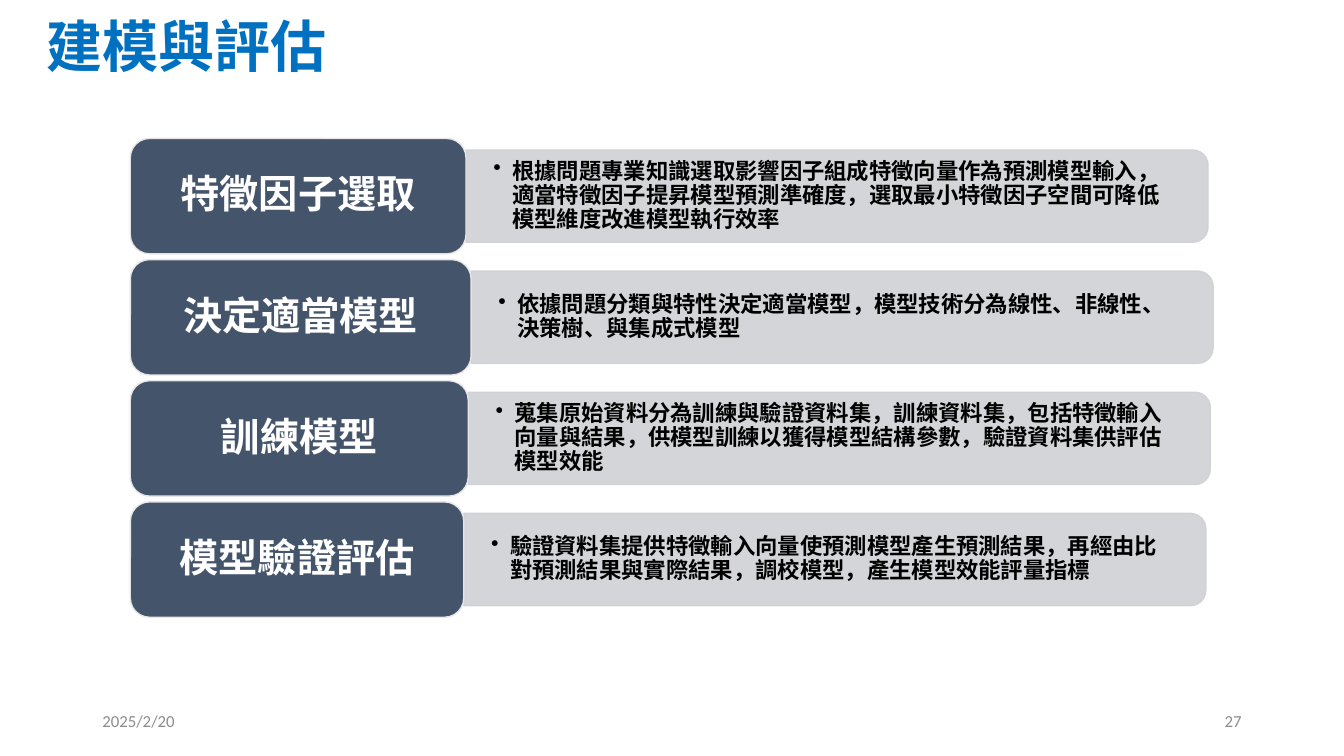
import dataclasses

import pptx
import pptx.dml.color
import pptx.enum.shapes
import pptx.enum.text
import pptx.oxml
import pptx.oxml.ns
import pptx.util

Pt = pptx.util.Pt
ALIGN = pptx.enum.text.PP_ALIGN
SHAPE = pptx.enum.shapes.MSO_SHAPE


@dataclasses.dataclass(frozen=True)
class Theme:
    font: str = "Calibri"
    title: str = "0070C0"
    label: str = "44546A"
    label_edge: str = "E7E6E6"
    label_text: str = "FFFFFF"
    bar: str = "CFD1D4"
    bar_text: str = "000000"
    footer: str = "8C8C8C"
    title_size: int = 40
    label_size: int = 28
    bar_size: int = 16
    footer_size: int = 12


THEME = Theme()

# Each step: label, width of its label, description
STEPS = [
    ("特徵因子選取", 239.8,
     "根據問題專業知識選取影響因子組成特徵向量作為預測模型輸入，適當特徵因子提昇模型預測準確度，"
     "選取最小特徵因子空間可降低模型維度改進模型執行效率"),
    ("決定適當模型", 243.4,
     "依據問題分類與特性決定適當模型，模型技術分為線性、非線性、決策樹、與集成式模型"),
    ("訓練模型", 241.4,
     "蒐集原始資料分為訓練與驗證資料集，訓練資料集，包括特徵輸入向量與結果，"
     "供模型訓練以獲得模型結構參數，驗證資料集供評估模型效能"),
    ("模型驗證評估", 238.2,
     "驗證資料集提供特徵輸入向量使預測模型產生預測結果，再經由比對預測結果與實際結果，"
     "調校模型，產生模型效能評量指標"),
]


def rgb(color):
    return pptx.dml.color.RGBColor.from_string(color)


def write(holder, text, size, color, bold=True, align=ALIGN.LEFT,
          spacing=0.9, insets=(7.2, 3.6), bullet_indent=None):
    """Put one vertically centred paragraph into a shape or text box."""
    frame = holder.text_frame
    frame.word_wrap = True
    frame.vertical_anchor = pptx.enum.text.MSO_ANCHOR.MIDDLE
    frame.margin_left = frame.margin_right = Pt(insets[0])
    frame.margin_top = frame.margin_bottom = Pt(insets[1])
    paragraph = frame.paragraphs[0]
    paragraph.text = text
    paragraph.alignment = align
    paragraph.line_spacing = spacing
    if bullet_indent:
        properties = paragraph._p.get_or_add_pPr()
        properties.set("marL", str(Pt(bullet_indent)))
        properties.set("indent", str(-Pt(bullet_indent)))
        bullet = pptx.oxml.parse_xml(
            f'<a:buChar {pptx.oxml.ns.nsdecls("a")} char="•"/>')
        properties.append(bullet)
    font = paragraph.font
    font.name, font.size, font.bold = THEME.font, Pt(size), bold
    font.color.rgb = rgb(color)


def add_text(slide, box, *args, **options):
    write(slide.shapes.add_textbox(*map(Pt, box)), *args, **options)


def add_block(slide, kind, box, fill, edge):
    block = slide.shapes.add_shape(kind, *map(Pt, box))
    block.shadow.inherit = False
    block.fill.solid()
    block.fill.fore_color.rgb = rgb(fill)
    block.line.color.rgb = rgb(edge)
    block.line.width = Pt(1)
    return block


def add_bar(slide, left, top, width, height, text):
    # Rounded right end: an upright shape turned by a quarter
    upright = (left + (width - height) / 2, top + (height - width) / 2, height, width)
    bar = add_block(slide, SHAPE.ROUND_2_SAME_RECTANGLE, upright, THEME.bar, THEME.bar)
    bar.rotation = 90
    for color in bar._element.spPr.iter(pptx.oxml.ns.qn("a:srgbClr")):
        color.append(pptx.oxml.parse_xml(
            f'<a:alpha {pptx.oxml.ns.nsdecls("a")} val="90000"/>'))

    # Level text, kept clear of the rounded end
    add_text(slide, (left, top + 3.2, width - 3, height - 6.4), text,
             THEME.bar_size, THEME.bar_text, insets=(19.5, 9.75), bullet_indent=13.5)


def add_step(slide, left, top, height, label, label_width, description):
    bar_height = height * 0.8
    add_bar(slide, left + label_width, top + (height - bar_height) / 2,
            530, bar_height, description)
    name = add_block(slide, SHAPE.ROUNDED_RECTANGLE,
                     (left, top, label_width, height), THEME.label, THEME.label_edge)
    write(name, label, THEME.label_size, THEME.label_text, align=ALIGN.CENTER)


def add_steps(slide, left, top, height):
    gap_share = 0.05
    step_height = height / (len(STEPS) + (len(STEPS) - 1) * gap_share)
    for index, step in enumerate(STEPS):
        step_top = top + index * step_height * (1 + gap_share)
        add_step(slide, left, step_top, step_height, *step)


def add_footer(slide, left, top, width, height):
    part_width = 216
    for text, part_left, align in (
            ("2025/2/20", left, ALIGN.LEFT),
            ("27", left + width - part_width, ALIGN.RIGHT)):
        add_text(slide, (part_left, top, part_width, height), text, THEME.footer_size,
                 THEME.footer, bold=False, align=align, spacing=1.0)


def main():
    deck = pptx.Presentation()
    deck.slide_width, deck.slide_height = Pt(960), Pt(540)
    slide = deck.slides.add_slide(deck.slide_layouts[6])
    add_text(slide, (26, 5.8, 906.5, 58.3), "建模與評估", THEME.title_size, THEME.title)
    add_steps(slide, 93.1, 98.9, 342)
    add_footer(slide, 66, 500.5, 828, 28.75)
    deck.save("out.pptx")


if __name__ == "__main__":
    main()
